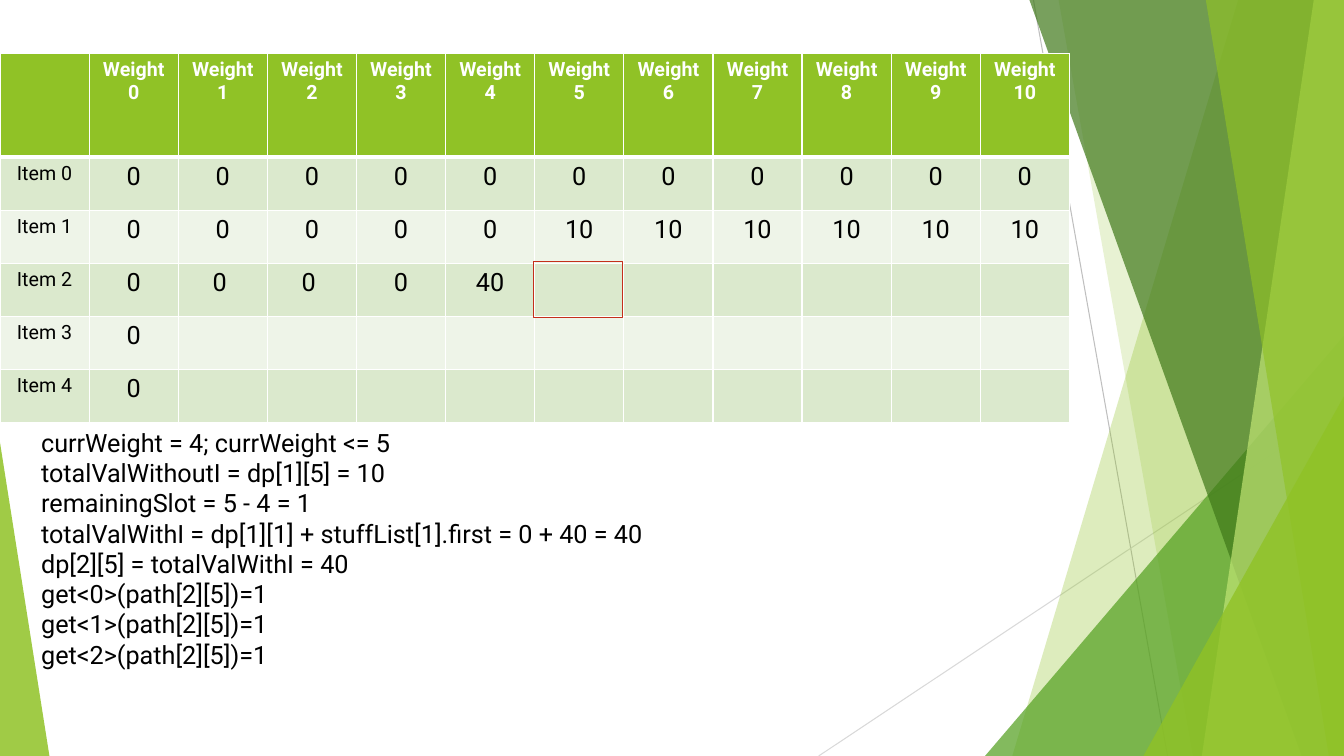
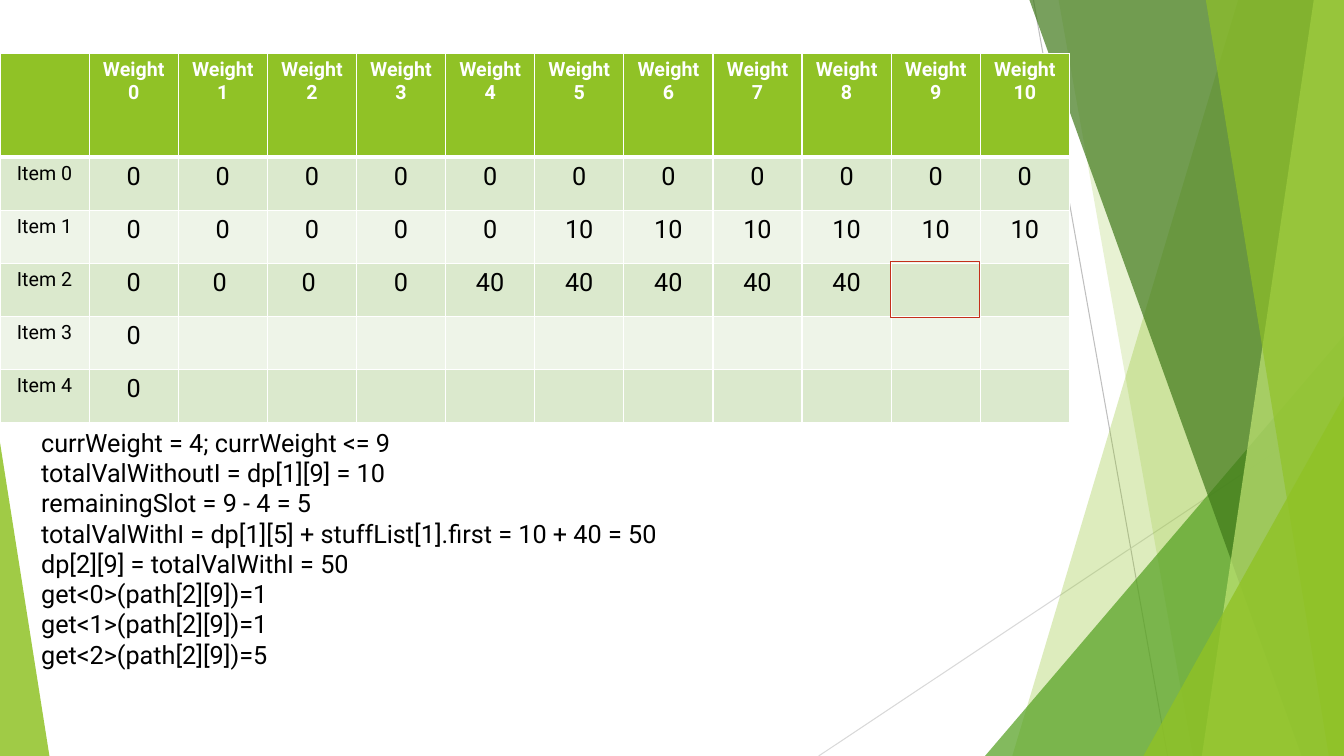
from lxml.etree import SubElement
from pptx import Presentation
from pptx.dml.color import RGBColor
from pptx.enum.shapes import MSO_CONNECTOR, MSO_SHAPE
from pptx.enum.text import MSO_AUTO_SIZE, PP_ALIGN
from pptx.oxml.ns import qn
from pptx.util import Inches, Pt

FONT = "Roboto"
COLORS = {
    "white": "FFFFFF", "black": "000000", "lime": "90C226", "green": "54A021",
    "forest": "3F7819", "pale": "C0E474", "band_dark": "DBE9CD",
    "band_light": "EEF4E8", "red": "C42F1A", "line": "BFBFBF", "line_light": "D9D9D9",
}
WIDTH, HEIGHT = 13.33, 7.5

# Start, end, colour
RAYS = [((10.25, 0), (11.58, HEIGHT), "line"),
        ((WIDTH, 4.03), (8.12, HEIGHT), "line_light")]
# A band runs from its slanted left side to the right edge: top x, bottom x.
# A triangle stands on the bottom edge: left, top, width, apex (0 left, 1 right).
FACETS = [
    ("band", (12.28, 10.04), "lime", 30),
    ("band", (10.5, 11.83), "lime", 20),
    ("triangle", (9.77, 3.33, 3.56, 1), "green", 72),
    ("band", (10.21, 12.91), "forest", 70),
    ("band", (13.03, 11.92), "pale", 70),
    ("band", (11.96, 13.18), "lime", 65),
    ("triangle", (11.34, 3.93, 1.99, 1), "lime", 80),
    ("triangle", (0, 4.39, 0.49, 0), "lime", 85),
]

WEIGHTS = range(11)
FIRST_ROWS = [["0"] * 11, ["0"] * 5 + ["10"] * 6]
ITEM_2_START = ["0", "0 ", "0 ", "0"]
LAST_ROWS = [["0"], ["0"]]
CURRENT_ITEM = 2

STEPS = [
    {"weight": 5, "item_2": ["40"], "lines": [
        "currWeight = 4; currWeight <= 5",
        "totalValWithoutI = dp[1][5] = 10",
        "remainingSlot = 5 - 4 = 1",
        "totalValWithI = dp[1][1] + stuffList[1].first = 0 + 40 = 40",
        "dp[2][5] = totalValWithI = 40",
        "get<0>(path[2][5])=1",
        "get<1>(path[2][5])=1",
        "get<2>(path[2][5])=1"]},
    {"weight": 9, "item_2": ["40"] * 5, "lines": [
        "currWeight = 4; currWeight <= 9",
        "totalValWithoutI = dp[1][9] = 10",
        "remainingSlot = 9 - 4 = 5",
        "totalValWithI = dp[1][5] + stuffList[1].first = 10 + 40 = 50",
        "dp[2][9] = totalValWithI = 50",
        "get<0>(path[2][9])=1",
        "get<1>(path[2][9])=1",
        "get<2>(path[2][9])=5"]},
]

TABLE_TOP, TABLE_WIDTH, TABLE_HEIGHT, HEADER_HEIGHT = 0.53, 10.61, 3.66, 1.03
COLUMN_WIDTH = TABLE_WIDTH / (len(WEIGHTS) + 1)
ROW_HEIGHT = (TABLE_HEIGHT - HEADER_HEIGHT) / 5


def rgb(name):
    return RGBColor.from_string(COLORS[name])


def style_text(para, size, color="black", bold=False):
    for span in para.runs:
        span.font.name = FONT
        span.font.size = Pt(size)
        span.font.bold = bold
        span.font.color.rgb = rgb(color)


def add_facet(page, kind, geometry, color, opacity):
    if kind == "band":
        top_x, bottom_x = geometry
        corners = [(WIDTH, 0), (WIDTH, HEIGHT), (bottom_x, HEIGHT)]
        builder = page.shapes.build_freeform(Inches(top_x), 0)
        builder.add_line_segments([(Inches(x), Inches(y)) for x, y in corners])
        facet = builder.convert_to_shape()
    else:
        left, top, width, apex = geometry
        facet = page.shapes.add_shape(
            MSO_SHAPE.ISOSCELES_TRIANGLE, Inches(left), Inches(top),
            Inches(width), Inches(HEIGHT - top))
        facet.adjustments[0] = apex
    facet.shadow.inherit = False
    facet.line.fill.background()
    facet.fill.solid()
    facet.fill.fore_color.rgb = rgb(color)
    color_node = facet.fill._xPr.find(qn("a:solidFill"))[0]
    SubElement(color_node, qn("a:alpha"), val=str(opacity * 1000))


def add_backdrop(page):
    for start, end, color in RAYS:
        ray = page.shapes.add_connector(
            MSO_CONNECTOR.STRAIGHT, *[Inches(value) for value in start + end])
        ray.line.color.rgb = rgb(color)
        ray.line.width = Pt(0.75)
        SubElement(ray._element.spPr, qn("a:effectLst"))
    for facet in FACETS:
        add_facet(page, *facet)


def style_cell(cell, fill, top_width, bottom_width):
    properties = cell._tc.get_or_add_tcPr()
    sides = {"L": 1, "R": 1, "T": top_width, "B": bottom_width}
    for side, width in sides.items():
        border = SubElement(properties, qn(f"a:ln{side}"), w=str(Pt(width)))
        SubElement(SubElement(border, qn("a:solidFill")), qn("a:srgbClr"),
                   val=COLORS["white"])
    cell.fill.solid()
    cell.fill.fore_color.rgb = rgb(fill)


def add_value_table(page, item_2):
    values = FIRST_ROWS + [ITEM_2_START + item_2] + LAST_ROWS
    rows = [[""] + [f"Weight {weight}" for weight in WEIGHTS]]
    rows += [[f"Item {item}"] + row for item, row in enumerate(values)]
    columns = len(rows[0])
    table = page.shapes.add_table(
        len(rows), columns, 0, Inches(TABLE_TOP),
        Inches(TABLE_WIDTH), Inches(TABLE_HEIGHT)).table
    for column in table.columns:
        column.width = Inches(COLUMN_WIDTH)
    for r, row in enumerate(rows):
        header = r == 0
        table.rows[r].height = Inches(HEADER_HEIGHT if header else ROW_HEIGHT)
        fill = "lime" if header else ("band_light", "band_dark")[r % 2]
        for c in range(columns):
            cell = table.cell(r, c)
            style_cell(cell, fill, 3 if r == 1 else 1, 3 if header else 1)
            if c < len(row) and row[c]:
                para = cell.text_frame.paragraphs[0]
                para.text = row[c]
                para.alignment = PP_ALIGN.CENTER
                style_text(para, 14 if header or c == 0 else 18,
                           "white" if header else "black", header)


def add_cell_marker(page, weight):
    row_top = TABLE_TOP + HEADER_HEIGHT + CURRENT_ITEM * ROW_HEIGHT
    marker = page.shapes.add_shape(
        MSO_SHAPE.RECTANGLE, Inches((weight + 1) * COLUMN_WIDTH - 0.01),
        Inches(row_top - 0.02), Inches(COLUMN_WIDTH), Inches(0.56))
    marker.shadow.inherit = False
    marker.fill.background()
    marker.line.color.rgb = rgb("red")
    marker.line.width = Pt(0.75)


def add_calculation(page, lines):
    box = page.shapes.add_textbox(Inches(0.31), Inches(4.19), Inches(10.06), Inches(3.43))
    frame = box.text_frame
    frame.word_wrap = True
    frame.auto_size = MSO_AUTO_SIZE.SHAPE_TO_FIT_TEXT
    frame.text = "\n".join(lines)
    for para in frame.paragraphs:
        style_text(para, 18)


def main():
    deck = Presentation()
    deck.slide_width, deck.slide_height = Inches(WIDTH), Inches(HEIGHT)
    for step in STEPS:
        page = deck.slides.add_slide(deck.slide_layouts[6])
        add_backdrop(page)
        add_value_table(page, step["item_2"])
        add_cell_marker(page, step["weight"])
        add_calculation(page, step["lines"])
    deck.save("out.pptx")


if __name__ == "__main__":
    main()
